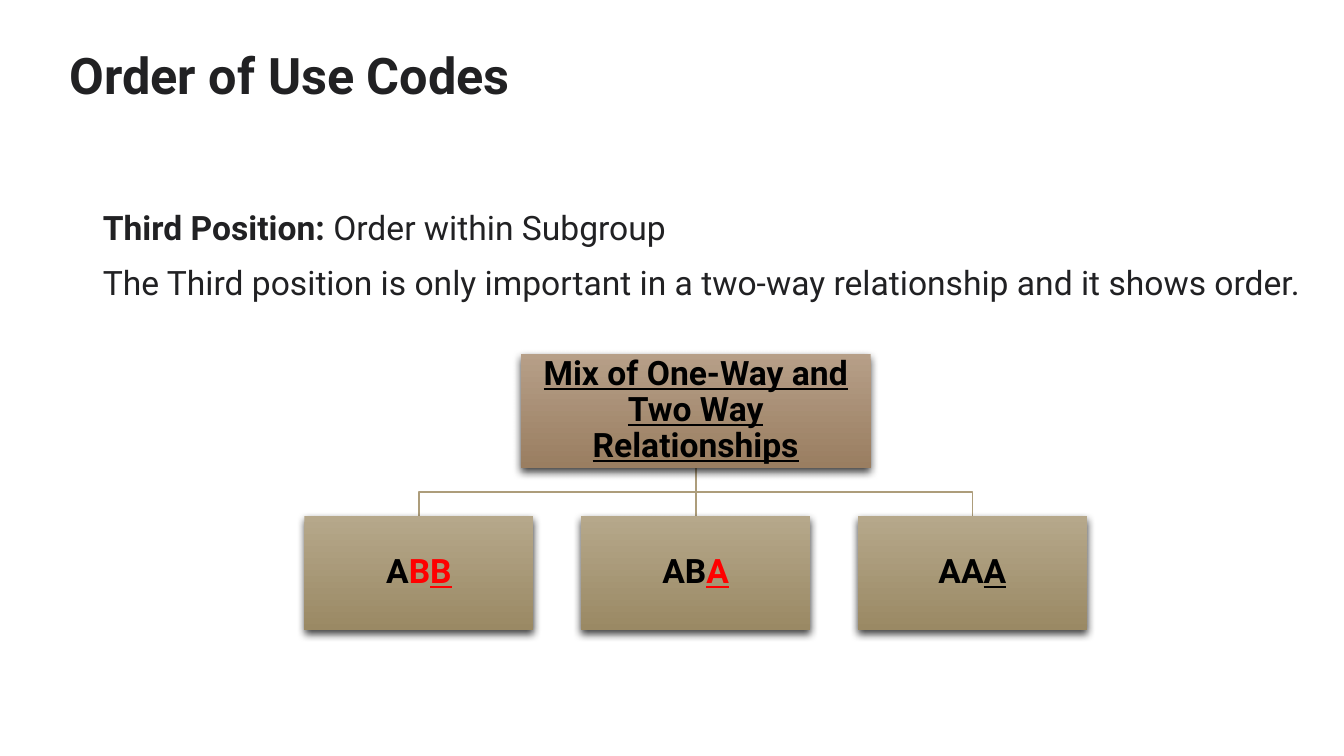
from lxml.etree import SubElement
from pptx import Presentation
from pptx.dml.color import RGBColor
from pptx.enum.shapes import MSO_CONNECTOR, MSO_SHAPE
from pptx.enum.text import MSO_ANCHOR, PP_ALIGN
from pptx.oxml import parse_xml
from pptx.oxml.ns import nsdecls, qn
from pptx.util import Inches, Pt

FONT = "Roboto"
INK, BLACK, RED, BRANCH = "212123", "000000", "FF0000", "AD9D7B"
ROOT_SHADES = ("B69F88", "9A7E61")
CODE_SHADES = ("B6A88B", "9A8964")
ROOT_SIZE = (3.47, 1.13)
CODE_SIZE = (2.27, 1.13)
LEVEL_GAP, CODE_GAP = 0.48, 0.475
CODES = [
    [("A", {}), ("B", {"color": RED}), ("B", {"color": RED, "underline": True})],
    [("AB", {}), ("A", {"color": RED, "underline": True})],
    [("AA", {}), ("A", {"underline": True})],
]


def rgb(value):
    return RGBColor.from_string(value)


def add_shadow(effects, blur, distance, opacity):
    """Add a black shadow that falls straight down."""
    shadow = SubElement(effects, qn("a:outerShdw"), blurRad=str(Pt(blur)),
                        dist=str(Pt(distance)), dir="5400000", algn="ctr", rotWithShape="0")
    black = SubElement(shadow, qn("a:srgbClr"), val=BLACK)
    SubElement(black, qn("a:alpha"), val=str(opacity * 1000))


def add_text(paragraph, text, size=24, color=BLACK, bold=False, underline=False, glow=False):
    """Add a run; glow gives it a faint white outline and a soft shadow."""
    run = paragraph.add_run()
    run.text = text
    font = run.font
    font.name, font.size, font.bold, font.underline = FONT, Pt(size), bold, underline
    font.color.rgb = rgb(color)
    if glow:
        properties = run._r.get_or_add_rPr()
        properties.insert(0, parse_xml(
            f'<a:ln {nsdecls("a")} w="{Pt(0.75)}"><a:solidFill><a:srgbClr val="FFFFFF">'
            '<a:alpha val="10000"/></a:srgbClr></a:solidFill><a:prstDash val="solid"/></a:ln>'))
        effects = parse_xml(f'<a:effectLst {nsdecls("a")}/>')
        properties.find(qn("a:solidFill")).addnext(effects)
        add_shadow(effects, 3, 1, 50)


def place(placeholder, left, top, width, height):
    placeholder.left, placeholder.top = Inches(left), Inches(top)
    placeholder.width, placeholder.height = Inches(width), Inches(height)


def fill_title(title, box):
    place(title, *box)
    title.text_frame.vertical_anchor = MSO_ANCHOR.MIDDLE
    heading = title.text_frame.paragraphs[0]
    heading.alignment = PP_ALIGN.CENTER
    add_text(heading, "Order of Use Codes", size=36, color=INK, bold=True, glow=True)


def fill_body(body, box):
    place(body, *box)
    position = body.text_frame.paragraphs[0]
    explanation = body.text_frame.add_paragraph()
    for paragraph, before in ((position, 0), (explanation, 4.8)):
        properties = paragraph._p.get_or_add_pPr()
        properties.set("marL", "0")
        properties.set("indent", "0")
        SubElement(properties, qn("a:buNone"))
        paragraph.space_before, paragraph.space_after = Pt(before), Pt(6)
    add_text(position, "Third Position:", color=INK, bold=True, glow=True)
    add_text(position, " Order within Subgroup", color=INK, glow=True)
    add_text(explanation, "The Third position is only important in a two-way "
             "relationship and it shows order.", color=INK, glow=True)


def add_node(slide, box, shades, runs):
    node = slide.shapes.add_shape(MSO_SHAPE.RECTANGLE, *map(Inches, box))
    node.fill.gradient()
    node.fill.gradient_angle = 270
    for stop, shade in zip(node.fill.gradient_stops, shades):
        stop.color.rgb = rgb(shade)
    node.line.fill.background()
    node.shadow.inherit = False
    add_shadow(node._element.spPr.find(qn("a:effectLst")), 6, 3, 75)
    frame = node.text_frame
    frame.word_wrap = True
    frame.vertical_anchor = MSO_ANCHOR.MIDDLE
    frame.margin_left = frame.margin_right = Inches(0.02)
    frame.margin_top = frame.margin_bottom = Inches(0.02)
    label = frame.paragraphs[0]
    label.alignment = PP_ALIGN.CENTER
    label.line_spacing = 0.9
    for text, look in runs:
        add_text(label, text, bold=True, **look)


def add_branch(slide, start_x, start_y, end_x, end_y):
    """Join two levels: straight down, or down, across and down."""
    x1, y1, x2, y2 = map(Inches, (start_x, start_y, end_x, end_y))
    if abs(x1 - x2) < Inches(0.01):
        branch = slide.shapes.add_connector(MSO_CONNECTOR.STRAIGHT, x1, y1, x1, y2)
        SubElement(branch._element.spPr, qn("a:effectLst"))
    else:
        middle = (y1 + y2) // 2
        outline = slide.shapes.build_freeform(x1, y1)
        outline.add_line_segments([(x1, middle), (x2, middle), (x2, y2)], close=False)
        branch = outline.convert_to_shape()
        branch.fill.background()
        branch.shadow.inherit = False
    branch.line.color.rgb = rgb(BRANCH)
    branch.line.width = Pt(1.25)


def add_hierarchy(slide, box):
    left, top, width, _ = box
    center = left + width / 2
    root_width, root_height = ROOT_SIZE
    code_width, code_height = CODE_SIZE
    root_bottom = top + root_height
    code_top = root_bottom + LEVEL_GAP
    code_lefts = [left + i * (code_width + CODE_GAP) for i in range(len(CODES))]
    for code_left in code_lefts:
        add_branch(slide, center, root_bottom, code_left + code_width / 2, code_top)
    add_node(slide, (center - root_width / 2, top, root_width, root_height), ROOT_SHADES,
             [("Mix of One-Way and Two Way Relationships", {"underline": True})])
    for code_left, runs in zip(code_lefts, CODES):
        add_node(slide, (code_left, code_top, code_width, code_height), CODE_SHADES, runs)


def main():
    deck = Presentation()
    deck.slide_width, deck.slide_height = Inches(13.33), Inches(7.5)
    slide = deck.slides.add_slide(deck.slide_layouts[1])
    fill_title(slide.shapes.title, (0.37, 0.32, 5.01, 0.84))
    fill_body(slide.placeholders[1], (0.92, 2, 12.19, 4.76))
    add_hierarchy(slide, (3.02, 3.51, 7.76, 2.74))
    deck.save("out.pptx")


if __name__ == "__main__":
    main()
